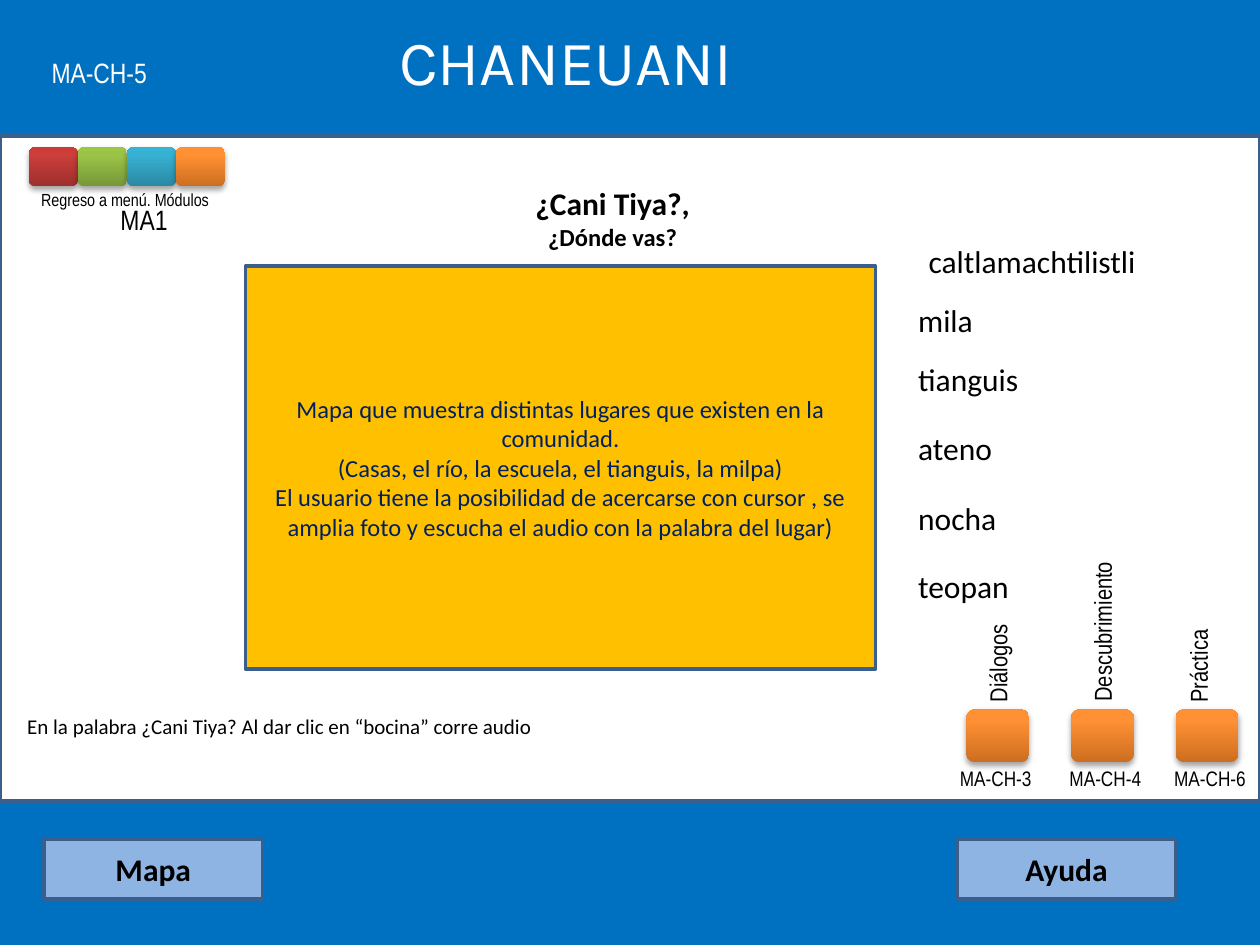
from copy import deepcopy

from lxml import etree
from pptx import Presentation
from pptx.dml.color import RGBColor
from pptx.enum.shapes import MSO_SHAPE
from pptx.enum.text import MSO_ANCHOR, MSO_AUTO_SIZE, PP_ALIGN
from pptx.oxml.ns import qn
from pptx.util import Cm, Pt

RECTANGLE = MSO_SHAPE.RECTANGLE
ROUNDED = MSO_SHAPE.ROUNDED_RECTANGLE
MIDDLE = MSO_ANCHOR.MIDDLE
GROW = MSO_AUTO_SIZE.SHAPE_TO_FIT_TEXT
LEFT = PP_ALIGN.LEFT
CENTER = PP_ALIGN.CENTER

BLUE = RGBColor(0x00, 0x70, 0xC0)
OUTLINE = RGBColor(0x3A, 0x5F, 0x8C)
BUTTON = RGBColor(0x8E, 0xB4, 0xE3)
AMBER = RGBColor(0xFF, 0xC0, 0x00)
NAVY = RGBColor(0x00, 0x20, 0x60)
WHITE = RGBColor(0xFF, 0xFF, 0xFF)
BLACK = RGBColor(0x00, 0x00, 0x00)
RED_SHADES = (RGBColor(0x9C, 0x2F, 0x2D), RGBColor(0xCB, 0x3E, 0x3A), RGBColor(0xCE, 0x3B, 0x37))
GREEN_SHADES = (RGBColor(0x77, 0x97, 0x37), RGBColor(0x9B, 0xC3, 0x48), RGBColor(0x9D, 0xC7, 0x46))
TEAL_SHADES = (RGBColor(0x2A, 0x88, 0xA2), RGBColor(0x37, 0xB1, 0xD2), RGBColor(0x34, 0xB4, 0xD6))
ORANGE_SHADES = (RGBColor(0xCC, 0x6E, 0x20), RGBColor(0xFF, 0x90, 0x34), RGBColor(0xFF, 0x91, 0x36))

NARROW = "Arial Narrow"
BODY = "Calibri"


def add_text(shapes, place, lines, size, font=BODY, color=BLACK, bold=False, align=LEFT):
    box = shapes.add_textbox(*[Cm(length) for length in place])
    frame = box.text_frame
    frame.word_wrap = True
    frame.auto_size = GROW
    frame.text = "\n".join(lines)
    for para in frame.paragraphs:
        para.alignment = align
        para.font.name = font
        para.font.size = Pt(size)
        para.font.bold = bold
        para.font.color.rgb = color
    return box


def add_tile(shapes, place, shades):
    tile = shapes.add_shape(ROUNDED, *[Cm(length) for length in place])
    tile.line.fill.background()
    tile.fill.gradient()
    tile.fill.gradient_angle = 90
    properties = tile._element.spPr
    stop_list = next(properties.iter(qn("a:gsLst")))
    stop_list.append(deepcopy(stop_list[-1]))
    for stop, position, shade in zip(tile.fill.gradient_stops, (0, 0.8, 1), shades):
        stop.position = position
        stop.color.rgb = shade
    tile.shadow.inherit = False
    effects = properties.find(qn("a:effectLst"))
    shadow = etree.SubElement(effects, qn("a:outerShdw"), blurRad="40000", dist="23000",
                              dir="5400000", rotWithShape="0")
    tint = etree.SubElement(shadow, qn("a:srgbClr"), val="000000")
    etree.SubElement(tint, qn("a:alpha"), val="35000")


deck = Presentation()
deck.slide_width = Cm(25.4)
deck.slide_height = Cm(19.05)
page = deck.slides.add_slide(deck.slide_layouts[6])
page.background.fill.solid()
page.background.fill.fore_color.rgb = BLUE
shapes = page.shapes

map_lines = [
    "Mapa que muestra distintas lugares que existen en la comunidad.",
    "(Casas, el río, la escuela, el tianguis, la milpa)",
    "El usuario tiene la posibilidad de acercarse con cursor , se amplia foto y escucha "
    "el audio con la palabra del lugar)",
]
panels = [
    ((0, 2.74, 25.4, 13.41), WHITE, [], 18, BLACK, False),
    ((0.89, 16.92, 4.4, 1.2), BUTTON, ["Mapa"], 18, BLACK, True),
    ((19.3, 16.92, 4.4, 1.2), BUTTON, ["Ayuda"], 18, BLACK, True),
    ((4.95, 5.36, 12.7, 8.13), AMBER, map_lines, 14, NAVY, False),
]
for place, fill, lines, size, color, bold in panels:
    panel = shapes.add_shape(RECTANGLE, *[Cm(length) for length in place])
    panel.shadow.inherit = False
    panel.fill.solid()
    panel.fill.fore_color.rgb = fill
    panel.line.color.rgb = OUTLINE
    panel.line.width = Pt(2)
    panel.text_frame.vertical_anchor = MIDDLE
    panel.text_frame.text = "\n".join(lines)
    for para in panel.text_frame.paragraphs:
        para.alignment = CENTER
        para.font.name = BODY
        para.font.size = Pt(size)
        para.font.bold = bold
        para.font.color.rgb = color

add_text(shapes, (7.8, 0.33, 8.33, 1.8), ["CHANEUANI"], 36, "Karla", WHITE)
add_text(shapes, (0.79, 0.99, 2.59, 0.94), ["MA-CH-5"], 16, NARROW, WHITE)

menu = shapes.add_group_shape()
for column, shades in enumerate((RED_SHADES, GREEN_SHADES, TEAL_SHADES, ORANGE_SHADES)):
    add_tile(menu.shapes, (0.58 + 0.99 * column, 2.97, 0.99, 0.79), shades)
add_text(menu.shapes, (0.58, 3.68, 3.96, 0.69), ["Regreso a menú. Módulos"], 10, NARROW)
add_text(shapes, (2.18, 3.96, 2.59, 0.94), ["MA1"], 16, NARROW)

question = add_text(shapes, (10.52, 3.58, 3.66, 1.63), ["¿Cani Tiya?,", "¿Dónde vas?"], 18,
                    bold=True, align=CENTER)
question.text_frame.word_wrap = False
question.text_frame.paragraphs[1].font.size = Pt(14)

add_text(shapes, (18.47, 4.75, 4.88, 1.02), ["caltlamachtilistli"], 18)
places = [("mila", 5.94), ("tianguis", 7.14), ("ateno", 8.53), ("nocha", 9.93), ("teopan", 11.3)]
for word, top in places:
    add_text(shapes, (18.26, top, 3.3, 1.02), [word], 18)

sections = [
    ("Diálogos", (18.52, 12.4, 3.18, 0.84), "MA-CH-3", 19.1),
    ("Descubrimiento", (20.5, 12.24, 3.45, 0.86), "MA-CH-4", 21.31),
    ("Práctica", (22.56, 12.4, 3.18, 0.84), "MA-CH-6", 23.42),
]
for column, (name, place, code, code_left) in enumerate(sections):
    add_tile(shapes, (19.48 + 2.11 * column, 14.3, 1.27, 1.07), ORANGE_SHADES)
    label = add_text(shapes, place, [name], 14, NARROW)
    label.rotation = 270
    add_text(shapes, (code_left, 15.3, 1.98, 0.76), [code], 12, NARROW)

add_text(shapes, (0.3, 14.25, 10.9, 0.76),
         ["En la palabra ¿Cani Tiya? Al dar clic en “bocina” corre audio"], 12)

deck.save("out.pptx")
